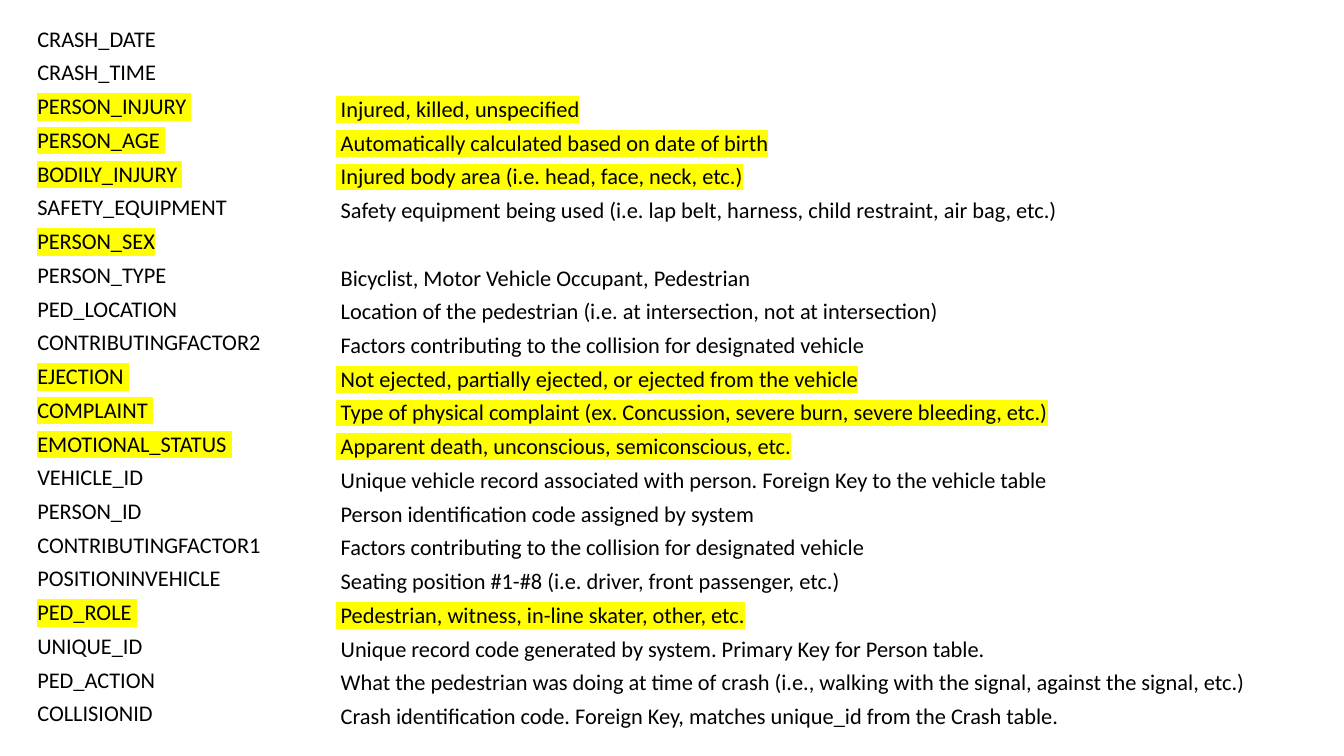
from lxml import etree
from pptx import Presentation
from pptx.dml.color import RGBColor
from pptx.enum.text import MSO_ANCHOR
from pptx.oxml.ns import qn
from pptx.util import Pt

BLACK = RGBColor(0x00, 0x00, 0x00)
YELLOW = RGBColor(0xFF, 0xFF, 0x00)
MIDDLE = MSO_ANCHOR.MIDDLE
BOTTOM = MSO_ANCHOR.BOTTOM

# Field name, description, highlighted
FIELDS = [
    ("CRASH_DATE", "", False),
    ("CRASH_TIME", "", False),
    ("PERSON_INJURY", "Injured, killed, unspecified", True),
    ("PERSON_AGE", "Automatically calculated based on date of birth", True),
    ("BODILY_INJURY", "Injured body area (i.e. head, face, neck, etc.)", True),
    ("SAFETY_EQUIPMENT", "Safety equipment being used (i.e. lap belt, harness, "
     "child restraint, air bag, etc.)", False),
    ("PERSON_SEX", "", True),
    ("PERSON_TYPE", "Bicyclist, Motor Vehicle Occupant, Pedestrian", False),
    ("PED_LOCATION", "Location of the pedestrian (i.e. at intersection, "
     "not at intersection)", False),
    ("CONTRIBUTINGFACTOR2", "Factors contributing to the collision "
     "for designated vehicle", False),
    ("EJECTION", "Not ejected, partially ejected, or ejected "
     "from the vehicle", True),
    ("COMPLAINT", "Type of physical complaint (ex. Concussion, severe burn, "
     "severe bleeding, etc.)", True),
    ("EMOTIONAL_STATUS", "Apparent death, unconscious, semiconscious, etc.", True),
    ("VEHICLE_ID", "Unique vehicle record associated with person. "
     "Foreign Key to the vehicle table", False),
    ("PERSON_ID", "Person identification code assigned by system", False),
    ("CONTRIBUTINGFACTOR1", "Factors contributing to the collision "
     "for designated vehicle", False),
    ("POSITIONINVEHICLE", "Seating position #1-#8 (i.e. driver, "
     "front passenger, etc.)", False),
    ("PED_ROLE", "Pedestrian, witness, in-line skater, other, etc.", True),
    ("UNIQUE_ID", "Unique record code generated by system. "
     "Primary Key for Person table.", False),
    ("PED_ACTION", "What the pedestrian was doing at time of crash (i.e., walking "
     "with the signal, against the signal, etc.)", False),
    ("COLLISIONID", "Crash identification code. Foreign Key, matches unique_id "
     "from the Crash table.", False),
]


def write(frame, text, font="Calibri", size=16, color=BLACK, mark=None):
    """Add one formatted run, with an optional highlight colour."""
    run = frame.paragraphs[0].add_run()
    run.text = text
    run.font.name = font
    run.font.size = Pt(size)
    run.font.color.rgb = color
    if mark is not None:
        light = etree.Element(qn("a:highlight"))
        etree.SubElement(light, qn("a:srgbClr"), val=str(mark))
        run.font.fill  # the highlight follows the text fill
        run._r.get_or_add_rPr().find(qn("a:solidFill")).addnext(light)


class Page:
    """Holds the table style and the current slide."""

    def __init__(self, deck):
        self.slide = deck.slides.add_slide(deck.slide_layouts[6])
        self.pad = 0.72
        self.indent = 7.2

    def table(self, left, top, widths, pitch, count):
        frame = self.slide.shapes.add_table(
            count, len(widths), Pt(left), Pt(top),
            Pt(sum(widths)), Pt(pitch * count))
        grid = frame.table
        grid.first_row = grid.horz_banding = False
        for column, width in zip(grid.columns, widths):
            column.width = Pt(width)
        for row in grid.rows:
            row.height = Pt(pitch)
        return grid

    def cell(self, cell, text, left, anchor, mark):
        cell.fill.background()
        cell.margin_left = Pt(left)
        cell.margin_top = cell.margin_right = Pt(self.pad)
        cell.margin_bottom = Pt(0)
        cell.vertical_anchor = anchor
        if text:
            write(cell.text_frame, text, mark=mark)


def main():
    deck = Presentation()
    deck.slide_width, deck.slide_height = Pt(960), Pt(540)
    page = Page(deck)

    # Data dictionary
    grid = page.table(19.44, 15.84, [219.6, 699.12], 24.1, len(FIELDS))
    for row, (name, note, key) in enumerate(FIELDS):
        mark = YELLOW if key else None
        # The highlight runs one space past a name that has a description
        label = name + " " if key and note else name
        detail = " " + note if note else ""
        page.cell(grid.cell(row, 0), label, page.indent, MIDDLE, mark)
        page.cell(grid.cell(row, 1), detail, page.pad, BOTTOM, mark)

    deck.save("out.pptx")


if __name__ == "__main__":
    main()
